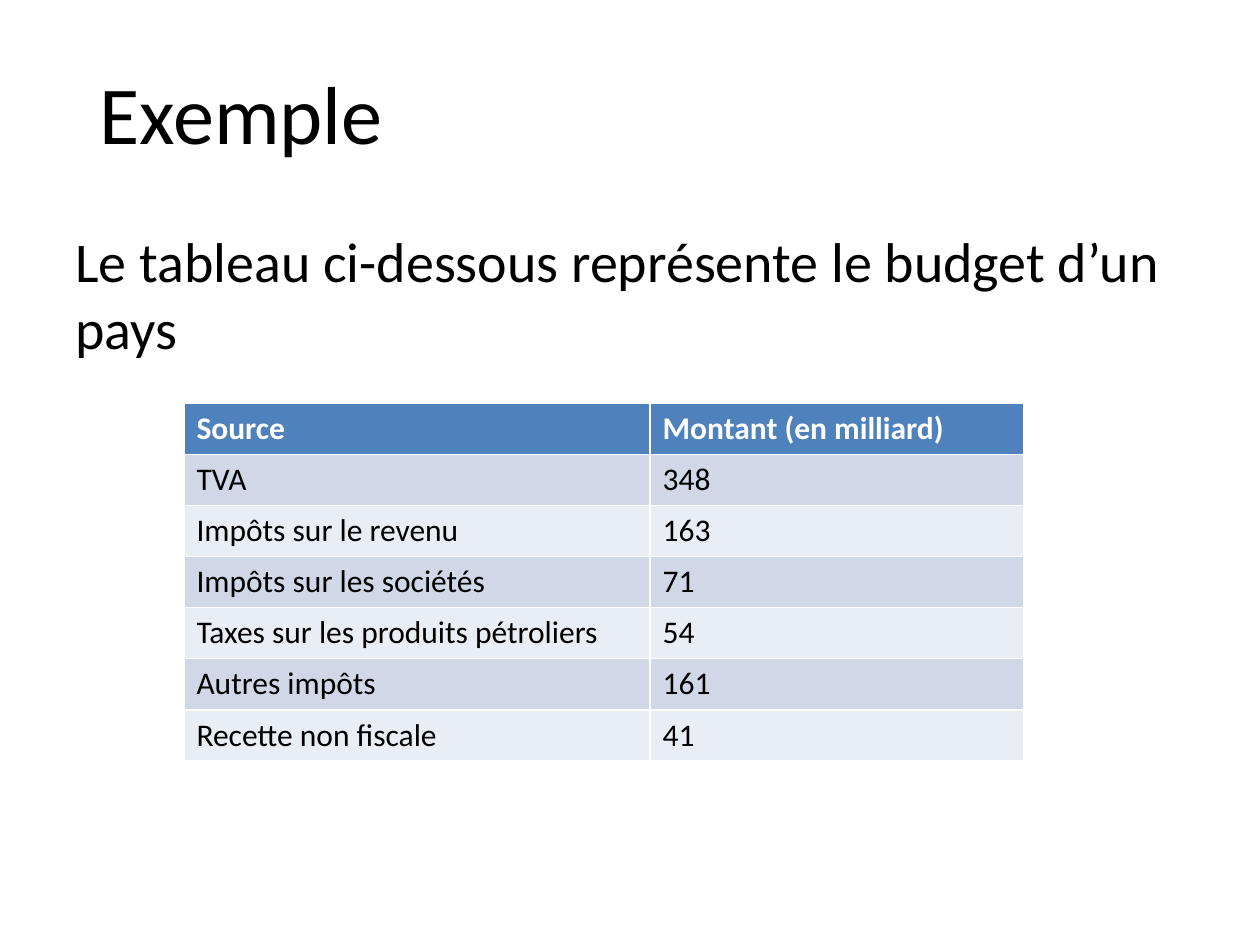
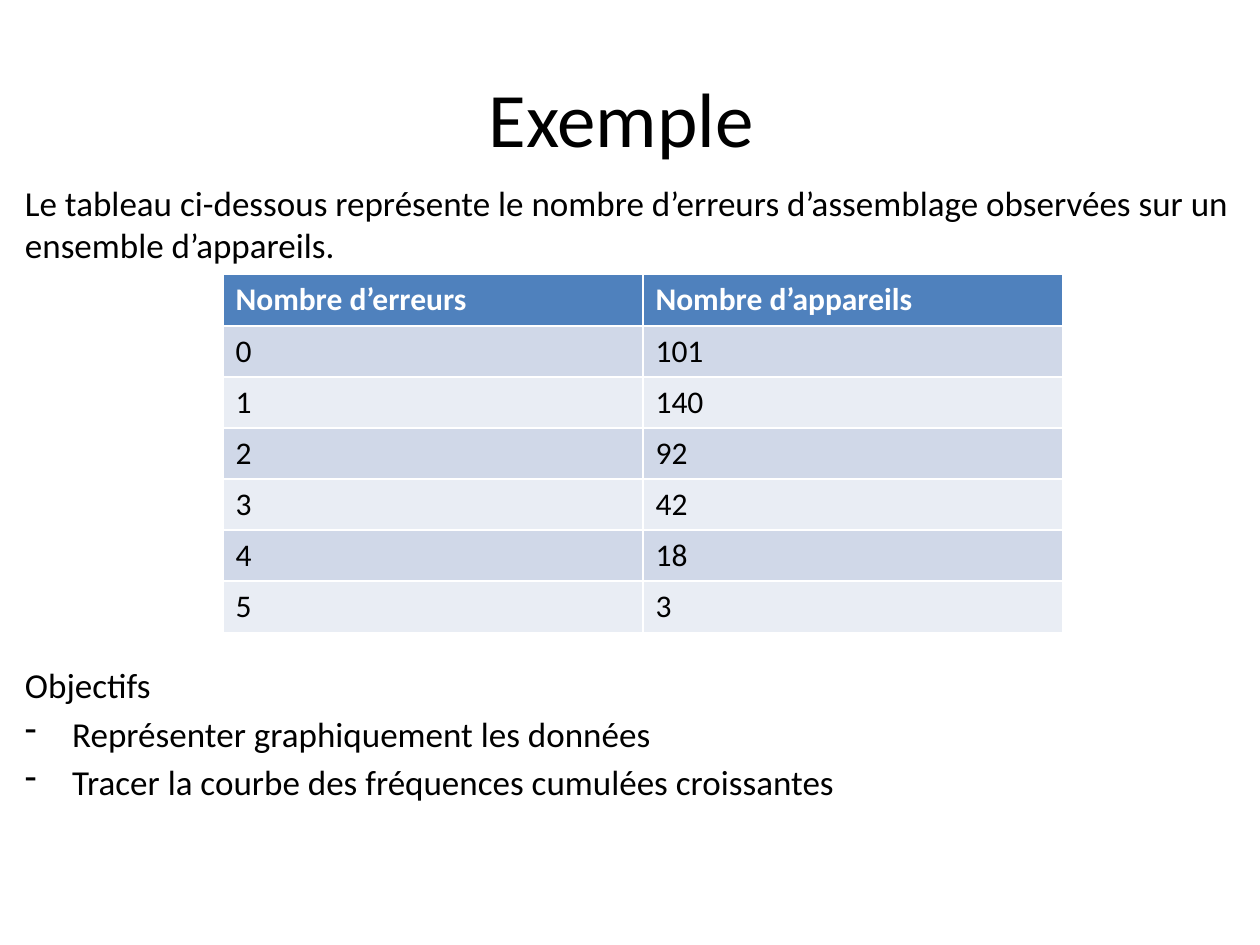
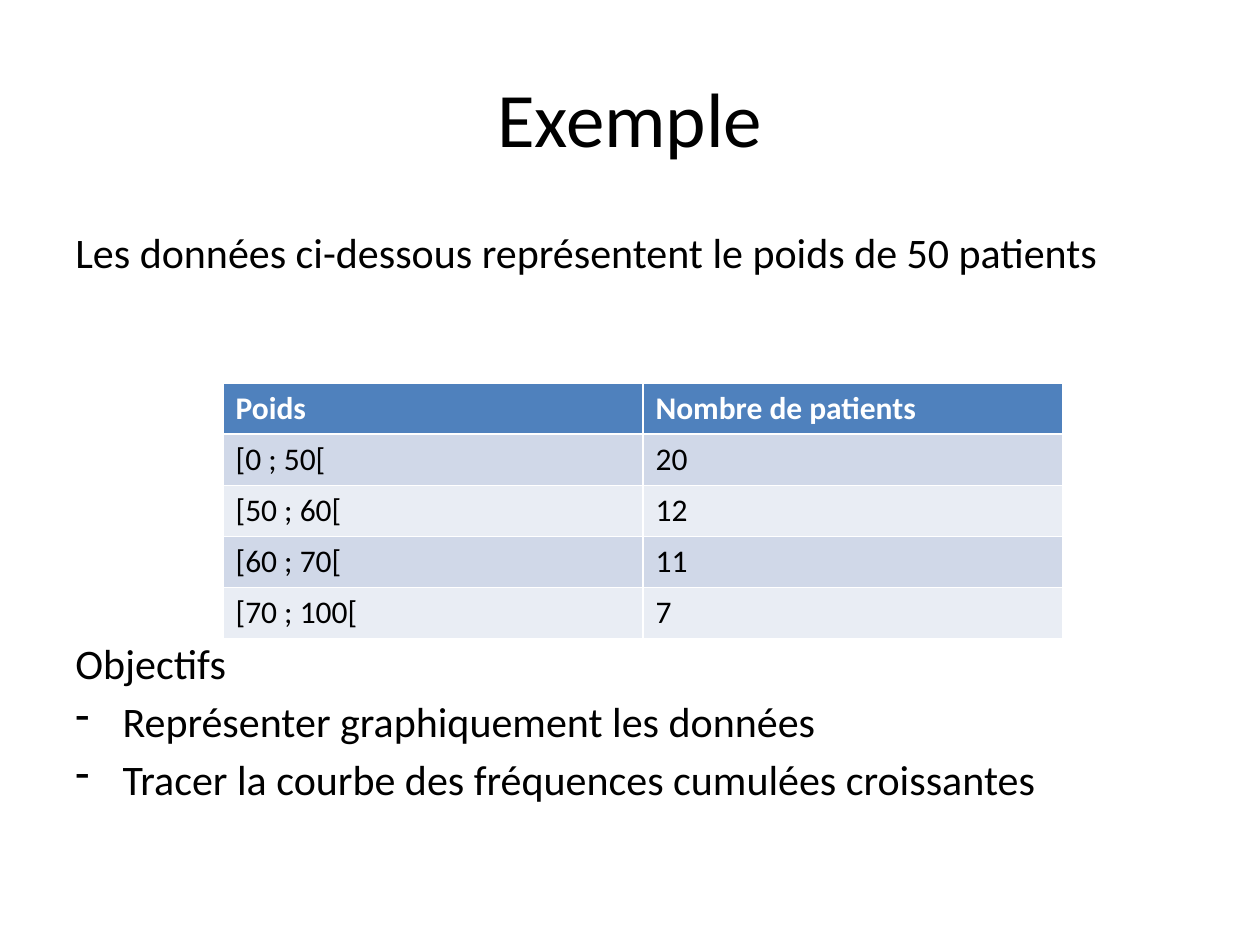
"""Build three example slides, each with a statistics table, its introduction and its objectives."""
from dataclasses import dataclass

from lxml.etree import SubElement
from pptx import Presentation
from pptx.dml.color import RGBColor
from pptx.enum.text import MSO_ANCHOR, MSO_AUTO_SIZE, PP_ALIGN
from pptx.oxml.ns import qn
from pptx.util import Pt


@dataclass(frozen=True)
class Theme:
    font: str = "Calibri"
    ink: RGBColor = RGBColor(0x00, 0x00, 0x00)
    paper: RGBColor = RGBColor(0xFF, 0xFF, 0xFF)
    header: RGBColor = RGBColor(0x4F, 0x81, 0xBD)
    bands: tuple = (RGBColor(0xD0, 0xD8, 0xE8), RGBColor(0xE9, 0xED, 0xF4))
    title_size: int = 44
    opening_title_size: int = 47
    opening_size: int = 32
    statement_size: int = 24
    dense_size: int = 20
    table_size: int = 18
    paragraph_gap: float = 0.18
    row_height: float = 29.2
    bullet_indent: int = 27


class Deck:
    def __init__(self, theme):
        self.theme = theme
        self.presentation = Presentation()
        self.presentation.slide_width = Pt(720)
        self.presentation.slide_height = Pt(540)
        self.slide = None

    def add_slide(self):
        self.slide = self.presentation.slides.add_slide(self.presentation.slide_layouts[5])
        self.slide.background.fill.solid()
        self.slide.background.fill.fore_color.rgb = self.theme.paper

    def add_text(self, paragraph, text, size, color=None, bold=False):
        run = paragraph.add_run()
        run.text = text
        run.font.name = self.theme.font
        run.font.size = Pt(size)
        run.font.bold = bold
        run.font.color.rgb = color or self.theme.ink

    def title(self, text, box=(36, 21.6, 648, 90), size=None,
              align=PP_ALIGN.CENTER, anchor=MSO_ANCHOR.MIDDLE, line_spacing=None):
        heading = self.slide.shapes.title
        heading.left, heading.top, heading.width, heading.height = map(Pt, box)
        frame = heading.text_frame
        frame.auto_size = MSO_AUTO_SIZE.NONE
        frame.vertical_anchor = anchor
        paragraph = frame.paragraphs[0]
        paragraph.alignment = align
        paragraph.line_spacing = line_spacing
        self.add_text(paragraph, text, size or self.theme.title_size)

    def body(self, box, size, introduction, objectives=(), table_gap=0):
        frame = self.slide.shapes.add_textbox(*map(Pt, box)).text_frame
        frame.word_wrap = True
        self.add_text(frame.paragraphs[0], introduction, size)
        for index, objective in enumerate(objectives):
            paragraph = frame.add_paragraph()
            if index:
                self.bullet(paragraph)
            paragraph.space_before = Pt(size * self.theme.paragraph_gap if index else table_gap)
            self.add_text(paragraph, objective, size)

    def bullet(self, paragraph):
        properties = paragraph._p.get_or_add_pPr()
        indent = Pt(self.theme.bullet_indent)
        properties.set("marL", str(indent))
        properties.set("indent", str(-indent))
        SubElement(properties, qn("a:buFontTx"))
        SubElement(properties, qn("a:buChar")).set("char", "-")

    def table(self, left, top, rows, widths=(240, 240)):
        theme = self.theme
        grid = self.slide.shapes.add_table(
            len(rows), len(widths), Pt(left), Pt(top),
            Pt(sum(widths)), Pt(theme.row_height * len(rows))).table
        for column, width in zip(grid.columns, widths):
            column.width = Pt(width)
        for row_index, values in enumerate(rows):
            is_header = row_index == 0
            fill = theme.header if is_header else theme.bands[(row_index - 1) % 2]
            for column_index, value in enumerate(values):
                cell = grid.cell(row_index, column_index)
                cell.fill.solid()
                cell.fill.fore_color.rgb = fill
                self.add_text(cell.text_frame.paragraphs[0], value, theme.table_size,
                              theme.paper if is_header else theme.ink, is_header)


OBJECTIVES = (
    "Objectifs",
    "Représenter graphiquement les données",
    "Tracer la courbe des fréquences cumulées croissantes",
)
BUDGET = (
    ("Source", "Montant (en milliard)"),
    ("TVA", "348"),
    ("Impôts sur le revenu", "163"),
    ("Impôts sur les sociétés", "71"),
    ("Taxes sur les produits pétroliers", "54"),
    ("Autres impôts", "161"),
    ("Recette non fiscale", "41"),
)
ASSEMBLY_ERRORS = (
    ("Nombre d’erreurs", "Nombre d’appareils"),
    ("0", "101"),
    ("1", "140"),
    ("2", "92"),
    ("3", "42"),
    ("4", "18"),
    ("5", "3"),
)
PATIENT_WEIGHTS = (
    ("Poids", "Nombre de patients"),
    ("[0 ; 50[", "20"),
    ("[50 ; 60[", "12"),
    ("[60 ; 70[", "11"),
    ("[70 ; 100[", "7"),
)


def main():
    theme = Theme()
    deck = Deck(theme)
    standard_body = (36, 126, 648, 356.4)

    deck.add_slide()
    deck.title("Exemple", (49.68, 23.04, 620.64, 73.44), theme.opening_title_size,
               PP_ALIGN.LEFT, MSO_ANCHOR.BOTTOM, 0.9)
    deck.body(standard_body, theme.opening_size,
              "Le tableau ci-dessous représente le budget d’un pays")
    deck.table(105.12, 230.4, BUDGET, (266.4, 213.6))

    deck.add_slide()
    deck.title("Exemple ")
    deck.body((7.2, 100.08, 705.6, 356.4), theme.dense_size,
              "Le tableau ci-dessous représente le nombre d’erreurs d’assemblage "
              "observées sur un ensemble d’appareils.", OBJECTIVES, 227.6)
    deck.table(127.44, 156.96, ASSEMBLY_ERRORS)

    deck.add_slide()
    deck.title("Exemple")
    deck.body(standard_body, theme.statement_size,
              "Les données ci-dessous représentent le poids de 50 patients", OBJECTIVES, 206)
    deck.table(127.44, 218.88, PATIENT_WEIGHTS)

    deck.presentation.save("out.pptx")


if __name__ == "__main__":
    main()
